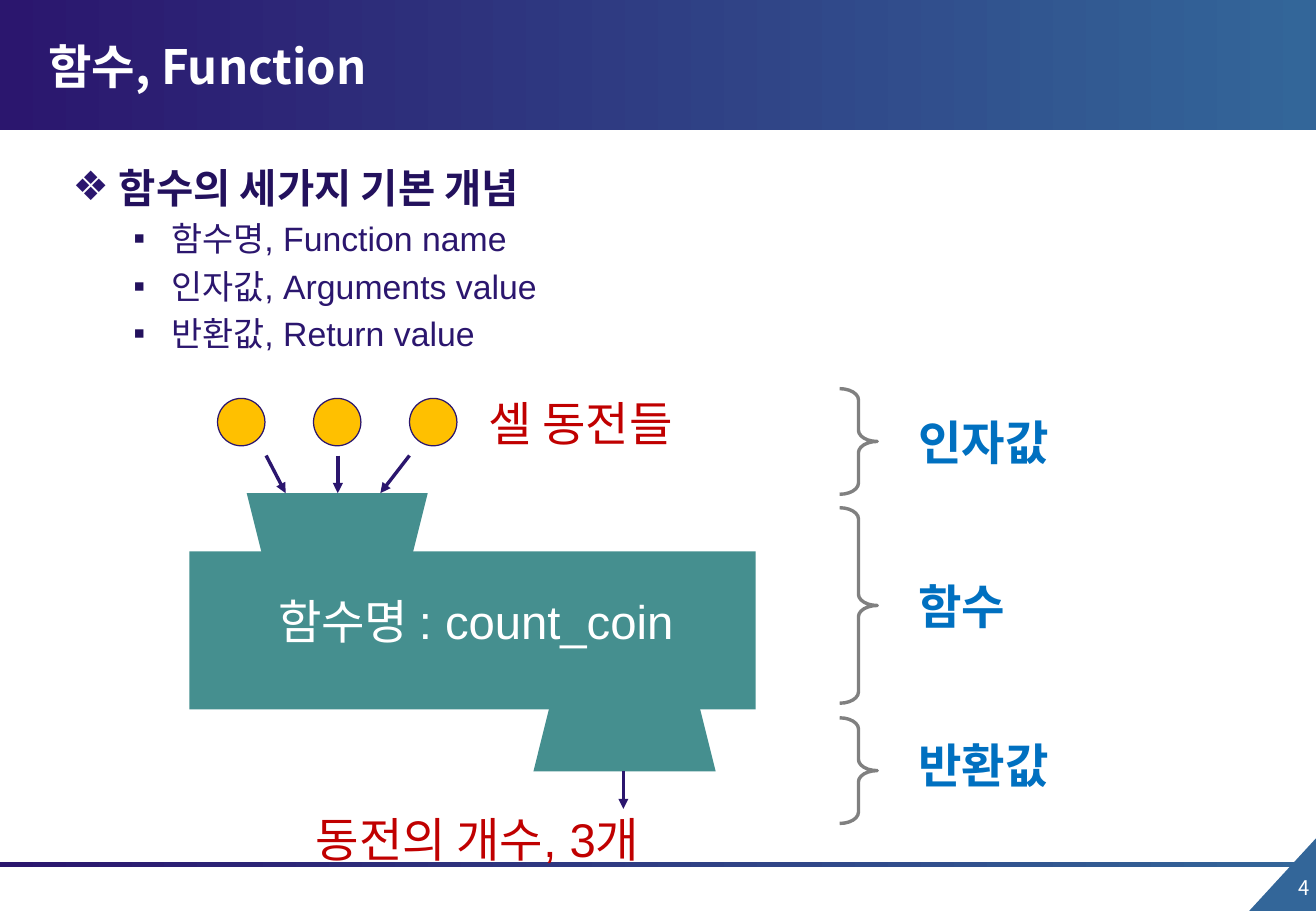
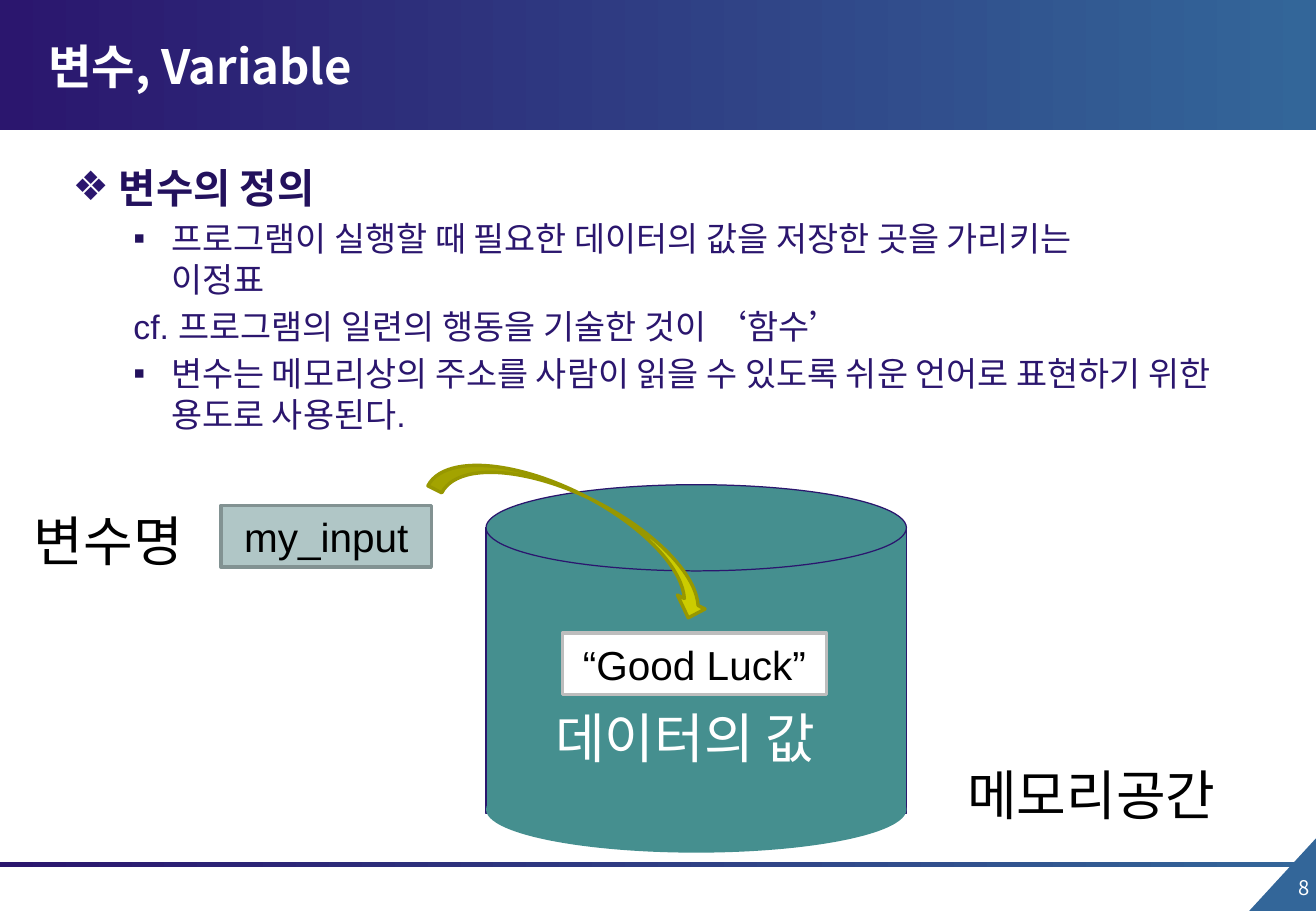
from pptx import Presentation
from pptx.dml.color import RGBColor
from pptx.enum.shapes import MSO_CONNECTOR, MSO_SHAPE
from pptx.enum.text import MSO_ANCHOR, MSO_AUTO_SIZE, PP_ALIGN
from pptx.oxml.ns import qn
from pptx.util import Inches, Pt
from lxml import etree

RECTANGLE, OVAL = MSO_SHAPE.RECTANGLE, MSO_SHAPE.OVAL
TRAPEZOID, BRACE = MSO_SHAPE.TRAPEZOID, MSO_SHAPE.RIGHT_BRACE
CORNER, CURVED_ARROW = MSO_SHAPE.RIGHT_TRIANGLE, MSO_SHAPE.CURVED_DOWN_ARROW
STRAIGHT = MSO_CONNECTOR.STRAIGHT
TOP, MIDDLE = MSO_ANCHOR.TOP, MSO_ANCHOR.MIDDLE
LEFT, CENTER, RIGHT = PP_ALIGN.LEFT, PP_ALIGN.CENTER, PP_ALIGN.RIGHT
FIT_SHAPE = MSO_AUTO_SIZE.SHAPE_TO_FIT_TEXT

NAVY, DARK_NAVY, BLUE, TEAL = "2B166E", "23115D", "336699", "458F8F"
WHITE, BLACK, RED, SKY, GOLD, GRAY = "FFFFFF", "000000", "C00000", "0070C0", "FFC000", "808080"
LATIN, KOREAN = "Arial", "Noto Sans CJK KR"


def color(value):
    return RGBColor.from_string(value)


def add_xml(parent, tag, **attributes):
    return etree.SubElement(parent, qn(tag), attributes)


class Slides:
    """Holds the shared style and draws on the current page."""

    def __init__(self):
        self.deck = Presentation()
        self.deck.slide_width, self.deck.slide_height = Inches(10.83), Inches(7.5)

    def new_page(self, title, number):
        self.page = self.deck.slides.add_slide(self.deck.slide_layouts[6])
        self.shape(CORNER, 10.25, 6.91, 0.62, 0.57, BLUE, rotation=270)
        self.band(7.1, 0.04)
        self.band(0, 1.07)
        self.text(number, 10.27, 7.16, 0.61, 0.41, 12, WHITE, font=KOREAN, align=RIGHT)
        self.text(title, 0.3, 0.23, 8.12, 0.62, 28, WHITE, True, KOREAN, anchor=MIDDLE)

    def band(self, top, height):
        fill = self.shape(RECTANGLE, 0, top, 10.83, height).fill
        fill.gradient()
        fill.gradient_angle = 0
        for stop, shade in zip(fill.gradient_stops, (NAVY, BLUE)):
            stop.color.rgb = color(shade)

    def shape(self, kind, left, top, width, height, fill=None, line=None, weight=0.75, rotation=0):
        shape = self.page.shapes.add_shape(kind, Inches(left), Inches(top), Inches(width), Inches(height))
        shape.shadow.inherit = False
        shape.rotation = rotation
        if fill:
            shape.fill.solid()
            shape.fill.fore_color.rgb = color(fill)
        else:
            shape.fill.background()
        if line:
            shape.line.color.rgb = color(line)
            shape.line.width = Pt(weight)
        else:
            shape.line.fill.background()
        return shape

    def brace(self, top, height):
        brace = self.shape(BRACE, 6.91, top, 0.31, height, line=GRAY, weight=2)
        brace.adjustments[0] = 0.299

    def style(self, paragraph, size, shade, bold=False, font=LATIN, align=LEFT):
        paragraph.alignment = align
        for span in paragraph.runs:
            span.font.size, span.font.bold, span.font.name = Pt(size), bold, font
            span.font.color.rgb = color(shade)
            add_xml(span.font._element, "a:ea", typeface=KOREAN)

    def text(self, words, left, top, width, height, size, shade, bold=False, font=LATIN,
             align=LEFT, anchor=TOP):
        box = self.page.shapes.add_textbox(Inches(left), Inches(top), Inches(width), Inches(height))
        frame = box.text_frame
        frame.word_wrap, frame.vertical_anchor = True, anchor
        frame.text = words
        self.style(frame.paragraphs[0], size, shade, bold, font, align)
        return frame

    def label(self, words, left, top, width, size, shade, bold=False):
        frame = self.text(words, left, top, width, 0.57 if size == 28 else 0.64, size, shade, bold)
        frame.word_wrap, frame.auto_size = False, FIT_SHAPE

    def boxed(self, words, left, top, width, fill, line):
        frame = self.shape(RECTANGLE, left, top, width, 0.51, fill, line, 2).text_frame
        frame.text = words
        self.style(frame.paragraphs[0], 24, BLACK, align=CENTER)

    def outline(self, heading, items, height):
        frame = self.text(heading, 0.5, 1.29, 9.8, height, 24, DARK_NAVY, True)
        self.bullet(frame.paragraphs[0], 24, 0.38, -0.38, "❖", NAVY)
        for words in items:
            paragraph = frame.add_paragraph()
            paragraph.text, paragraph.level = words, 1
            self.style(paragraph, 20, NAVY)
            if words.startswith("cf."):
                self.bullet(paragraph, 20, 0.5, 0)
            else:
                self.bullet(paragraph, 20, 0.81, -0.31, "▪", DARK_NAVY)

    def bullet(self, paragraph, size, margin, indent, mark=None, shade=None):
        paragraph.space_before = Pt(size * 0.2)
        properties = paragraph._p.get_or_add_pPr()
        properties.set("marL", str(Inches(margin)))
        properties.set("indent", str(Inches(indent)))
        if mark:
            add_xml(add_xml(properties, "a:buClr"), "a:srgbClr", val=shade)
            add_xml(properties, "a:buFont", typeface=LATIN)
            add_xml(properties, "a:buChar", char=mark)
        else:
            add_xml(properties, "a:buNone")

    def arrow(self, start, top, end):
        arrow = self.page.shapes.add_connector(
            STRAIGHT, Inches(start), Inches(top), Inches(end), Inches(top + 0.31))
        arrow.line.color.rgb = color(NAVY)
        arrow.line.width = Pt(2)
        properties = arrow._element.spPr
        add_xml(properties.find(qn("a:ln")), "a:tailEnd", type="triangle")
        add_xml(properties, "a:effectLst")


slides = Slides()

slides.new_page("함수, Function", "4")
slides.outline("함수의 세가지 기본 개념",
               ["함수명, Function name", "인자값, Arguments value", "반환값, Return value"], 1.98)
slides.shape(TRAPEZOID, 2.03, 4.06, 1.49, 0.55, TEAL, rotation=180)
slides.shape(RECTANGLE, 1.56, 4.54, 4.66, 1.3, TEAL)
slides.shape(TRAPEZOID, 4.39, 5.8, 1.5, 0.55, TEAL)
slides.label("함수명 : count_coin", 2.19, 4.83, 3.67, 28, WHITE)
for coin in range(3):
    slides.shape(OVAL, 1.79 + 0.79 * coin, 3.28, 0.39, 0.39, GOLD, NAVY)
for start, top, end in [(2.78, 3.75, 2.78), (2.19, 3.75, 2.35), (3.37, 3.75, 3.13), (5.13, 6.35, 5.13)]:
    slides.arrow(start, top, end)
slides.label("셀 동전들", 3.92, 3.2, 1.91, 28, RED)
slides.label("동전의 개수, 3개", 2.5, 6.62, 3.23, 28, RED)
for words, brace_top, brace_height, label_top, width in [
        ("인자값", 3.2, 0.87, 3.35, 1.38),
        ("함수", 4.18, 1.61, 4.7, 0.99),
        ("반환값", 5.91, 0.87, 6.01, 1.38)]:
    slides.brace(brace_top, brace_height)
    slides.label(words, 7.46, label_top, width, 28, SKY, True)

slides.new_page("변수, Variable", "8")
slides.outline("변수의 정의",
               ["프로그램이 실행할 때 필요한 데이터의 값을 저장한 곳을 가리키는 \n이정표",
                "cf. 프로그램의 일련의 행동을 기술한 것이 ‘함수’",
                "변수는 메모리상의 주소를 사람이 읽을 수 있도록 쉬운 언어로 표현하기 위한 용도로 사용된다."],
               2.22)
slides.shape(RECTANGLE, 4, 4.34, 3.46, 2.36, TEAL, NAVY)
slides.shape(OVAL, 4, 3.99, 3.46, 0.71, TEAL, NAVY)
slides.shape(OVAL, 4, 6.31, 3.46, 0.71, TEAL)
slides.label("데이터의 값", 4.47, 5.75, 2.6, 32, WHITE)
slides.label("변수명", 0.18, 4.13, 1.55, 32, BLACK)
slides.label("메모리공간", 7.86, 6.22, 2.45, 32, BLACK)
slides.boxed("my_input", 1.82, 4.16, 1.73, "B0C6C6", "829292")
slides.boxed("“Good Luck”", 4.63, 5.21, 2.17, WHITE, "BDBDBD")
slides.shape(CURVED_ARROW, 3.5, 4.09, 2.53, 0.51, "CCCC00", "979700", 2, 26.9)

slides.deck.save("out.pptx")
